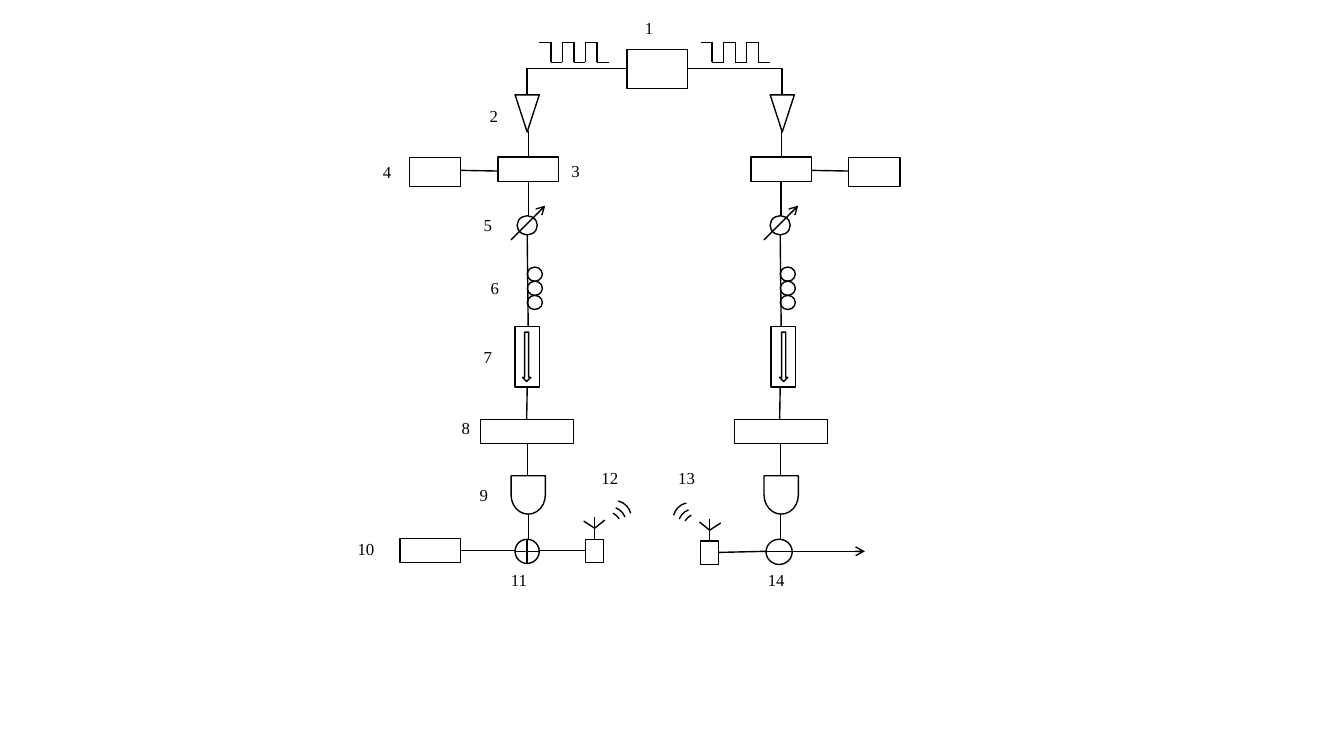
"""Draw a two-branch photonic signal link with numbered parts."""
import dataclasses
import typing

import lxml.etree
import pptx
import pptx.dml.color
import pptx.enum.shapes
import pptx.oxml.ns
import pptx.shapes.autoshape
import pptx.shapes.connector
import pptx.shapes.shapetree
import pptx.util

Pt = pptx.util.Pt
Kind = pptx.enum.shapes.MSO_SHAPE
Link = pptx.enum.shapes.MSO_CONNECTOR
Space = typing.Union[pptx.shapes.shapetree.SlideShapes, pptx.shapes.shapetree.GroupShapes]
COLORS = {"ink": "000000"}
INK = pptx.dml.color.RGBColor.from_string(COLORS["ink"])
FONT = "Times New Roman"


@dataclasses.dataclass(frozen=True)
class Part:
    kind: Kind
    left: float
    top: float
    wide: float
    high: float
    turn: float = 0
    shift: float = 180.7


@dataclasses.dataclass(frozen=True)
class Wire:
    x1: float
    y1: float
    x2: float
    y2: float
    arrow: bool = False
    shift: float = 180.7
    bent: bool = False


@dataclasses.dataclass(frozen=True)
class Wave:
    x: float
    y: float
    start: float
    end: float
    turn: float


@dataclasses.dataclass(frozen=True)
class Label:
    text: str
    left: float
    top: float


TWIN_PARTS = [
    Part(Kind.ISOSCELES_TRIANGLE, 367.9, 67.7, 17.3, 26.6, turn=180, shift=182.2),
    Part(Kind.RECTANGLE, 355.7, 112.3, 43.2, 17.3),
    Part(Kind.RECTANGLE, 292.3, 112.3, 36.7, 20.9, shift=313.9),
    Part(Kind.OVAL, 369.4, 154.1, 14.4, 13.7),
    *[Part(Kind.OVAL, 376.6, 190.8 + 10.1 * ring, 10.8, 10.1) for ring in range(3)],
    Part(Kind.RECTANGLE, 367.9, 233.3, 17.3, 43.2, shift=182.9),
    Part(Kind.DOWN_ARROW, 373.3, 237.2, 5.8, 35.3, shift=183.6),
    Part(Kind.RECTANGLE, 343.4, 299.5, 66.2, 17.3, shift=181.4),
    Part(Kind.FLOWCHART_DELAY, 363.6, 341.3, 27.4, 24.5, turn=90),
]
TWIN_WIRES = [
    Wire(377.3, 93.6, 377.3, 112.3, shift=181),
    Wire(329, 121.7, 355.7, 122.2, shift=250.6),
    Wire(377.3, 129.6, 377.3, 154.1),
    Wire(365, 171.4, 389.5, 146.9, arrow=True),
    Wire(376.6, 167.8, 377.3, 233.3),
    Wire(376.6, 276.5, 376.2, 299.5),
    Wire(376.6, 316.8, 376.6, 339.8),
    Wire(377.3, 367.2, 377.3, 385.2, shift=180),
]
LONE_PARTS = [
    Part(Kind.RECTANGLE, 447.8, 35.3, 43.2, 28.1),
    Part(Kind.RECTANGLE, 285.8, 384.5, 43.2, 17.3),
    Part(Kind.FLOWCHART_OR, 367.9, 385.2, 17.3, 17.3),
    Part(Kind.OVAL, 547.2, 385.2, 18.7, 18),
]
LONE_WIRES = [
    Wire(447.8, 49, 376.6, 67.7, bent=True),
    Wire(491, 49, 558.7, 67.7, bent=True),
    Wire(329, 393.1, 367.9, 393.1),
    Wire(385.2, 393.1, 417.6, 393.1),
    Wire(547.2, 393.8, 513.4, 394.6),
    Wire(547.2, 393.8, 565.9, 393.8),
    Wire(565.9, 393.8, 617.8, 393.8, arrow=True),
]
WAVES = [
    Wave(14.6, -15.5, 167.91, 206.94, 0),
    Wave(11, -11.2, 162, 189.87, 20),
    Wave(7.9, -8.3, 197.86, 0, -33),
]
ARMS = [(0, 0, 0, -15.8), (0, -7.9, 7.2, -13.7), (0, -7.9, -7.9, -13)]
LABELS = [
    Label("1", 453.6, 9.4), Label("2", 342.7, 72), Label("3", 401, 111.6),
    Label("4", 266.4, 112.3), Label("5", 338.4, 149.8), Label("6", 343.4, 195.1),
    Label("7", 338.4, 244.1), Label("8", 322.6, 295.2), Label("9", 335.5, 342.7),
    Label("10", 248.4, 381.6), Label("11", 357.8, 403.2), Label("12", 422.6, 330.5),
    Label("13", 477.4, 330.5), Label("14", 541.4, 403.2),
]


def draw_part(space: Space, part: Part, shift: float = 0) -> pptx.shapes.autoshape.Shape:
    shape = space.add_shape(part.kind, Pt(part.left + shift), Pt(part.top),
                            Pt(part.wide), Pt(part.high))
    shape.rotation = part.turn
    shape.shadow.inherit = False
    shape.fill.background()
    shape.line.color.rgb = INK
    shape.line.width = Pt(1)
    return shape


def draw_wire(space: Space, wire: Wire, shift: float = 0) -> pptx.shapes.connector.Connector:
    line = space.add_connector(Link.ELBOW if wire.bent else Link.STRAIGHT,
                               Pt(wire.x1 + shift), Pt(wire.y1),
                               Pt(wire.x2 + shift), Pt(wire.y2))
    line.line.color.rgb = INK
    line.line.width = Pt(1)
    name = pptx.oxml.ns.qn
    props = line.element.spPr
    if wire.bent:
        props.find(name("a:prstGeom")).set("prst", "bentConnector2")
    if wire.arrow:
        lxml.etree.SubElement(props.find(name("a:ln")), name("a:tailEnd"), type="arrow")
    lxml.etree.SubElement(props, name("a:effectLst"))
    return line


def draw_pulse(space: Space, left: float) -> None:
    step, high, low = 8.25, 30.2, 44.6
    for beat in range(6):
        x, y = left + beat * step, low if beat % 2 else high
        draw_wire(space, Wire(x, y, x + step, y))
        if beat:
            draw_wire(space, Wire(x, high, x, low))


def draw_mast(space: Space, x: float, y: float, side: int) -> None:
    group = space.add_group_shape().shapes
    draw_part(group, Part(Kind.RECTANGLE, x - 6.5, y, 13, 16.6))
    for x1, y1, x2, y2 in ARMS:
        draw_wire(group, Wire(x + side * x1, y + y1, x + side * x2, y + y2))
    for wave in WAVES:
        arc = draw_part(group, Part(Kind.ARC, x + side * wave.x - 11.5, y + wave.y - 11.9,
                                    23, 23.8, turn=side * wave.turn))
        ends = (wave.start, wave.end)
        if side < 0:
            ends = ((108 - wave.end) % 216, (108 - wave.start) % 216)
        arc.adjustments[0], arc.adjustments[1] = ends


def write_text(space: Space, text: str, *, left: float, top: float, wide: float = 31.7,
               high: float = 21.6, size: float = 12, font: str = FONT) -> None:
    box = space.add_textbox(Pt(left), Pt(top), Pt(wide), Pt(high))
    box.text_frame.word_wrap = True
    run = box.text_frame.paragraphs[0].add_run()
    run.text = text
    run.font.size = Pt(size)
    run.font.name = font
    run.font.color.rgb = INK


def main() -> None:
    deck = pptx.Presentation()
    deck.slide_width, deck.slide_height = Pt(960), Pt(540)
    space = deck.slides.add_slide(deck.slide_layouts[6]).shapes
    for part in TWIN_PARTS:
        for shift in (0, part.shift):
            draw_part(space, part, shift)
    for wire in TWIN_WIRES:
        for shift in (0, wire.shift):
            draw_wire(space, wire, shift)
    for part in LONE_PARTS:
        draw_part(space, part)
    for wire in LONE_WIRES:
        draw_wire(space, wire)
    for left in (385.2, 500.4):
        draw_pulse(space, left)
    draw_mast(space, 424.8, 385.2, side=1)
    draw_mast(space, 506.9, 386.6, side=-1)
    for label in LABELS:
        write_text(space, label.text, left=label.left, top=label.top)
    deck.save("out.pptx")


if __name__ == "__main__":
    main()
